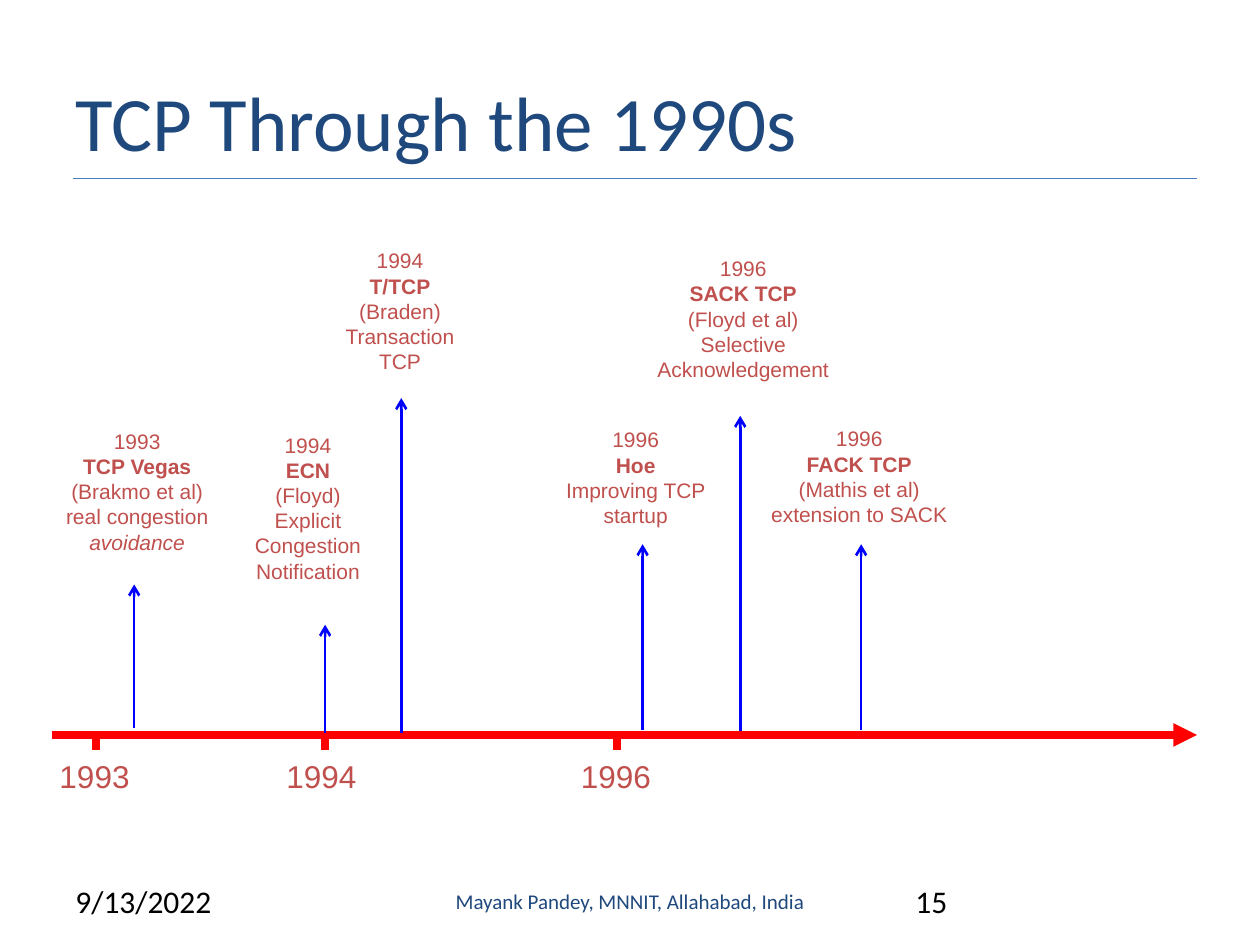
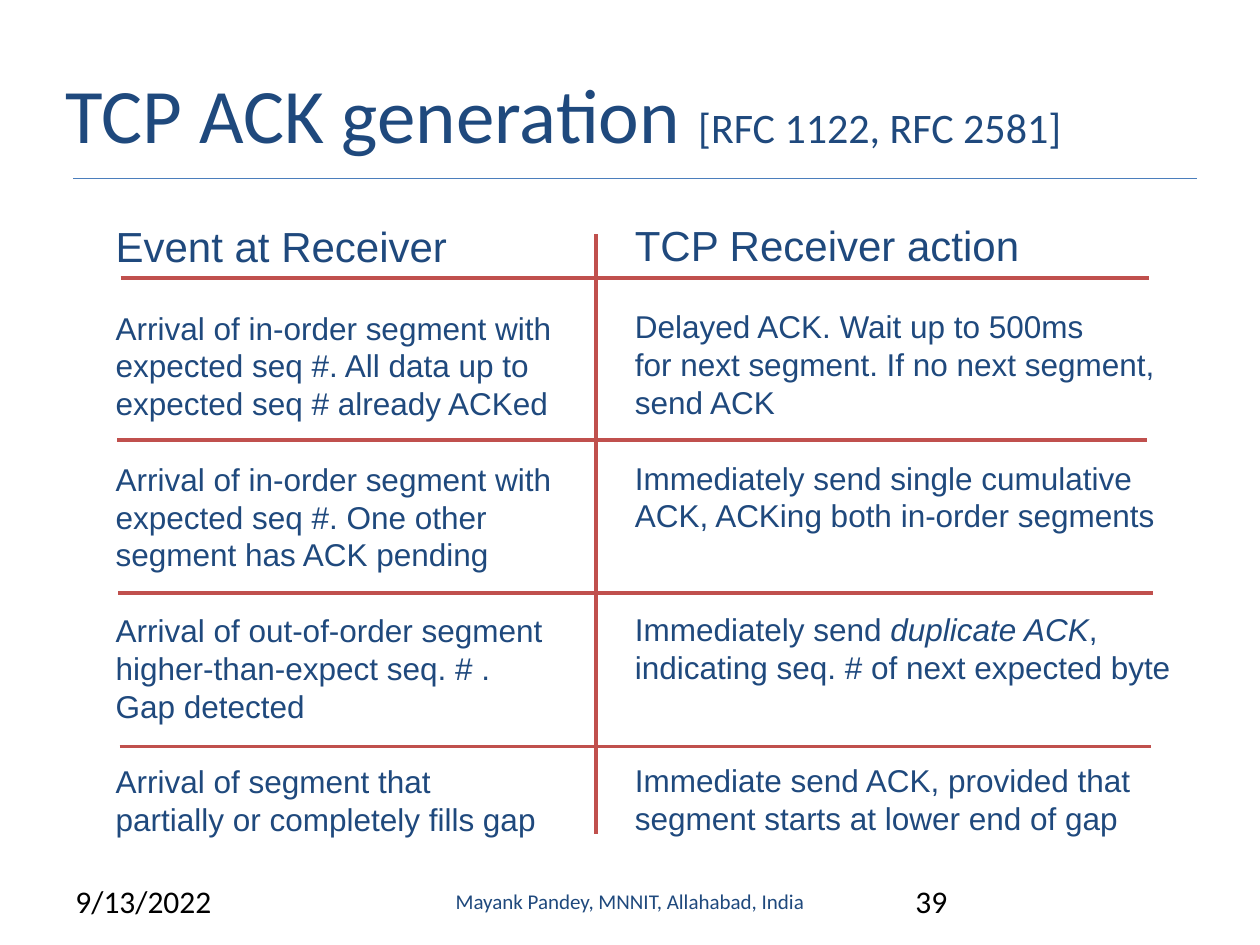
from dataclasses import dataclass

from lxml import etree
from pptx import Presentation
from pptx.dml.color import RGBColor
from pptx.enum.shapes import MSO_CONNECTOR
from pptx.enum.text import MSO_ANCHOR, MSO_AUTO_SIZE, PP_ALIGN
from pptx.oxml.ns import qn
from pptx.util import Pt

STRAIGHT = MSO_CONNECTOR.STRAIGHT
TOP, MIDDLE = MSO_ANCHOR.TOP, MSO_ANCHOR.MIDDLE
LEFT, CENTER = PP_ALIGN.LEFT, PP_ALIGN.CENTER
NO_FIT = MSO_AUTO_SIZE.NONE
TITLE_ONLY = 5


@dataclass(frozen=True)
class Theme:
    navy: RGBColor = RGBColor(0x1F, 0x49, 0x7D)
    brick: RGBColor = RGBColor(0xC0, 0x50, 0x4D)
    rule: RGBColor = RGBColor(0x4B, 0x7E, 0xBC)
    red: RGBColor = RGBColor(0xFF, 0x00, 0x00)
    blue: RGBColor = RGBColor(0x00, 0x00, 0xFF)
    black: RGBColor = RGBColor(0x00, 0x00, 0x00)
    heading_font: str = "Calibri"
    body_font: str = "Arial"
    title: int = 44
    heading: int = 24
    body: int = 18
    small: int = 12
    leading: float = 1.2


THEME = Theme()
DATE = "9/13/2022"
AUTHOR = "Mayank Pandey, MNNIT, Allahabad, India"

AXIS_Y = 420
YEARS = [("1993", 54.7, 54), ("1994", 185.8, 183.6), ("1996", 352.8, 352)]
MILESTONES = [
    (76.7, 334, 416, (12.2, 241.2, 132.5),
     ["1993", "TCP Vegas", "(Brakmo et al)", "real congestion *avoidance*"]),
    (185.8, 357, 419, (126, 243.4, 100),
     ["1994", "ECN", "(Floyd)", "Explicit", "Congestion", "Notification"]),
    (229.3, 227.5, 419, (178.6, 138.2, 100),
     ["1994", "T/TCP", "(Braden)", "Transaction", "TCP"]),
    (367.2, 311, 417, (302.4, 240.5, 121.7),
     ["1996", "Hoe", "Improving TCP startup"]),
    (423, 237.6, 418, (361.4, 142.6, 126.7),
     ["1996", "SACK TCP", "(Floyd et al)", "Selective Acknowledgement"]),
    (492.1, 311, 417, (418.3, 239.8, 145.4),
     ["1996", "FACK TCP", "(Mathis et al)", "extension to SACK"]),
]

ROW_LINES = 4
EVENTS = [
    ["Arrival of in-order segment with", "expected seq #. All data up to",
     "expected seq # already ACKed"],
    ["Arrival of in-order segment with", "expected seq #. One other",
     "segment has ACK pending"],
    ["Arrival of out-of-order segment", "higher-than-expect seq. # .",
     "Gap detected"],
    ["Arrival of segment that", "partially or completely fills gap"],
]
ACTIONS = [
    ["Delayed ACK. Wait up to 500ms", "for next segment. If no next segment,",
     "send ACK"],
    ["Immediately send single cumulative",
     "ACK, ACKing both in-order segments"],
    ["Immediately send *duplicate ACK*,",
     "indicating seq. # of next expected byte"],
    ["Immediate send ACK, provided that",
     "segment starts at lower end of gap"],
]
ROW_RULES = [(69, 656.6, 158.8), (67, 655.2, 251.6),
             (67.7, 658.8, 339.1), (68.4, 658, 426.6)]


def add_line(slide, x1, y1, x2, y2, color, width, arrow=None):
    line = slide.shapes.add_connector(STRAIGHT, Pt(x1), Pt(y1), Pt(x2), Pt(y2))
    line.line.color.rgb = color
    line.line.width = Pt(width)
    if arrow:
        etree.SubElement(line.line._get_or_add_ln(), qn("a:tailEnd"), type=arrow)
    etree.SubElement(line.element.spPr, qn("a:effectLst"))
    return line


def set_font(font, size, color, name):
    font.size, font.name = Pt(size), name
    font.color.rgb = color


def add_text_frame(slide, left, top, width, height, anchor=TOP):
    sp = slide.shapes.add_textbox(Pt(left), Pt(top), Pt(width), Pt(height))
    tf = sp.text_frame
    tf.word_wrap = True
    tf.vertical_anchor = anchor
    return tf


def add_label(slide, box, text, size, color, align=LEFT, anchor=TOP):
    p = add_text_frame(slide, *box, anchor).paragraphs[0]
    p.text, p.alignment = text, align
    set_font(p.font, size, color, THEME.heading_font)


def write_lines(tf, lines, size, color, align=LEFT):
    paragraphs = []
    for text in lines:
        p = tf.paragraphs[0] if not tf.text else tf.add_paragraph()
        p.alignment = align
        p.line_spacing = Pt(size * THEME.leading)
        set_font(p.font, size, color, THEME.body_font)
        for i, part in enumerate(text.split("*")):
            if part:
                r = p.add_run()
                r.text = part
                if i % 2:
                    r.font.italic = True
        paragraphs.append(p)
    return paragraphs


def add_title(slide, box, text, reference=None):
    sp = slide.shapes.title
    sp.left, sp.top, sp.width, sp.height = map(Pt, box)
    tf = sp.text_frame
    tf.auto_size = NO_FIT
    tf.vertical_anchor = MIDDLE
    p = tf.paragraphs[0]
    p.alignment = LEFT
    set_font(p.font, THEME.title, THEME.navy, THEME.heading_font)
    p.add_run().text = text
    if reference:
        r = p.add_run()
        r.text = reference
        r.font.size = Pt(THEME.heading)


def add_footer(slide, number):
    top, height = 500.4, 28.8
    add_label(slide, (36, top, 168, height), DATE, THEME.body, THEME.black)
    add_label(slide, (516, top, 168, height), number, THEME.body, THEME.black)
    add_label(slide, (246, top, 228, height), AUTHOR, THEME.small, THEME.navy,
              CENTER, MIDDLE)


def add_title_rule(slide):
    line = add_line(slide, 42, 102.2, 684, 102.2, THEME.rule, 0.75)
    slide.slide_layout.shapes.element.append(line.element)


def add_milestone(slide, x, tip, foot, box, lines):
    add_line(slide, x, foot, x, tip, THEME.blue, 1.5, "arrow")
    height = len(lines) * THEME.small * THEME.leading + 7.2
    tf = add_text_frame(slide, *box, height)
    paragraphs = write_lines(tf, lines, THEME.small, THEME.brick, CENTER)
    paragraphs[1].font.bold = True


def add_timeline(slide):
    add_line(slide, 29.5, AXIS_Y, 684, AXIS_Y, THEME.red, 4.5, "triangle")
    for year, tick, center in YEARS:
        add_line(slide, tick, AXIS_Y, tick, AXIS_Y + 8.5, THEME.red, 4.5)
        tf = add_text_frame(slide, center - 30, AXIS_Y + 9, 60, 29)
        write_lines(tf, [year], THEME.body, THEME.brick, CENTER)
    for milestone in MILESTONES:
        add_milestone(slide, *milestone)


def add_column(slide, left, top, width, heading, rows):
    tf = add_text_frame(slide, left, top, width, 370)
    write_lines(tf, [heading], THEME.heading, THEME.navy)
    gap = 1
    for lines in rows:
        first = write_lines(tf, lines, THEME.body, THEME.navy)[0]
        first.space_before = Pt(gap * THEME.body * THEME.leading)
        gap = ROW_LINES - len(lines)


def add_ack_grid(slide):
    add_column(slide, 59, 122.4, 275, "Event at Receiver", EVENTS)
    add_column(slide, 355.7, 121.7, 340, "TCP Receiver action", ACTIONS)
    for left, right, y in ROW_RULES:
        add_line(slide, left, y, right, y, THEME.brick, 2.25)
    add_line(slide, 340.6, 134, 340.6, 476.6, THEME.brick, 2.25)


def main():
    prs = Presentation()
    prs.slide_width, prs.slide_height = Pt(720), Pt(540)
    layout = prs.slide_layouts[TITLE_ONLY]

    s = prs.slides.add_slide(layout)
    add_title_rule(s)
    add_title(s, (36, 30.2, 648, 77.8), "TCP Through the 1990s")
    add_timeline(s)
    add_footer(s, "15")

    s = prs.slides.add_slide(layout)
    add_title(s, (30.2, 21.6, 638.6, 85.7), "TCP ACK generation ",
              "[RFC 1122, RFC 2581]")
    add_ack_grid(s)
    add_footer(s, "39")

    prs.save("out.pptx")


if __name__ == "__main__":
    main()
